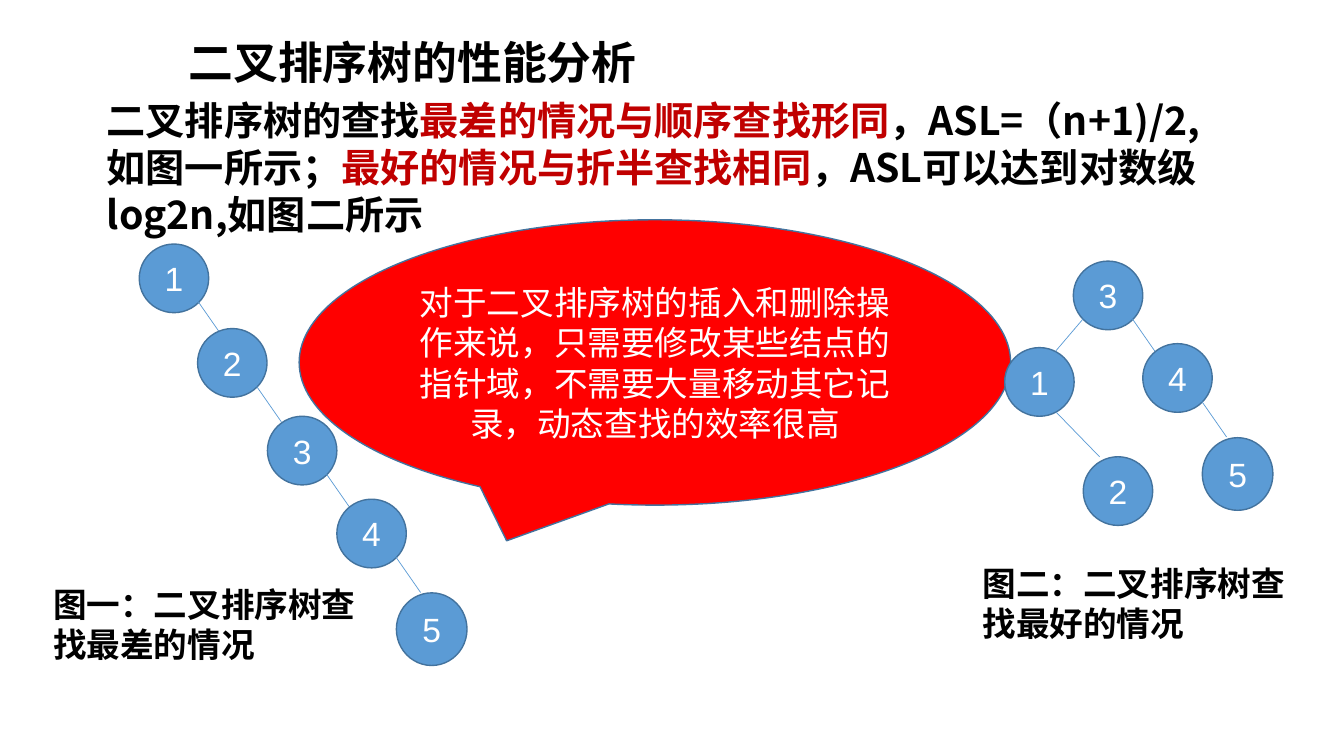
from dataclasses import dataclass

import pptx
import pptx.dml.color
import pptx.enum.shapes
import pptx.enum.text
import pptx.oxml
import pptx.oxml.ns
import pptx.util

Cm = pptx.util.Cm
Pt = pptx.util.Pt
RGB = pptx.dml.color.RGBColor.from_string
PRESET = pptx.enum.shapes.MSO_SHAPE
ALIGN = pptx.enum.text.PP_ALIGN
ANCHOR = pptx.enum.text.MSO_ANCHOR
FIT = pptx.enum.text.MSO_AUTO_SIZE


@dataclass(frozen=True)
class Theme:
    ink: str = "000000"
    emphasis: str = "C00000"
    light: str = "FFFFFF"
    callout: str = "FF0000"
    node: str = "5B9BD5"
    outline: str = "43739E"
    heading_font: str = "Noto Sans CJK SC"
    shape_font: str = "Arial"
    title_size: int = 32
    body_size: int = 28
    label_size: int = 24
    outline_width: float = 1
    link_width: float = 0.5


THEME = Theme()
NODE_SIZE = (1.75, 1.73)
LAST_NODE_SIZE = (1.78, 1.83)

LINKS = {
    "right": (1.49, 1.46, 0.62, 0.89),
    "left": (0.25, 1.45, -0.69, 0.81),
    "inner": (1.3, 1.63, 1.09, 1.12),
}

WORST_TREE = [
    ("1", 0, 0, None, None),
    ("2", 1.47, 2.13, "1", "right"),
    ("3", 3.23, 4.34, "2", "right"),
    ("4", 4.98, 6.43, "3", "right"),
    ("5", 6.48, 8.79, "4", "right"),
]
BEST_TREE = [
    ("3", 1.73, 0, None, None),
    ("4", 3.48, 2.08, "3", "right"),
    ("5", 4.98, 4.45, "4", "right"),
    ("1", 0, 2.18, "3", "left"),
    ("2", 1.98, 4.93, "1", "inner"),
]


def apply_format(target, values):
    for attribute, value in values.items():
        setattr(target, attribute, value)


def write_runs(paragraph, runs, font_name, size, bold):
    for wording, colour in runs:
        run = paragraph.add_run()
        run.text = wording
        apply_format(run.font, {"name": font_name, "size": Pt(size), "bold": bold})
        run.font.color.rgb = RGB(colour)
        east_asian = pptx.oxml.ns.qn("a:ea")
        run.font._element.find(pptx.oxml.ns.qn("a:latin")).addnext(
            run.font._element.makeelement(east_asian, {"typeface": font_name}))


def draw_heading(slide, box, runs, size):
    heading = slide.shapes.add_textbox(*map(Cm, box))
    apply_format(heading.text_frame, {
        "word_wrap": True, "auto_size": FIT.SHAPE_TO_FIT_TEXT})
    write_runs(heading.text_frame.paragraphs[0], runs,
               THEME.heading_font, size, True)


def draw_bubble(slide, preset, box, fill, wording):
    bubble = slide.shapes.add_shape(preset, *map(Cm, box))
    bubble.shadow.inherit = False
    bubble.fill.solid()
    bubble.fill.fore_color.rgb = RGB(fill)
    bubble.line.color.rgb = RGB(THEME.outline)
    bubble.line.width = Pt(THEME.outline_width)
    apply_format(bubble.text_frame, {
        "word_wrap": True, "vertical_anchor": ANCHOR.MIDDLE})
    paragraph = bubble.text_frame.paragraphs[0]
    paragraph.alignment = ALIGN.CENTER
    write_runs(paragraph, [(wording, THEME.light)],
               THEME.shape_font, THEME.label_size, False)


def draw_link(slide, parent_corner, direction):
    start_x, start_y, run_x, run_y = LINKS[direction]
    x, y = parent_corner[0] + start_x, parent_corner[1] + start_y
    link = slide.shapes.add_connector(
        pptx.enum.shapes.MSO_CONNECTOR.STRAIGHT,
        *map(Cm, (x, y, x + run_x, y + run_y)))
    link.line.color.rgb = RGB(THEME.node)
    link.line.width = Pt(THEME.link_width)
    properties = link._element.spPr
    properties.append(properties.makeelement(
        pptx.oxml.ns.qn("a:effectLst"), {}))


def draw_tree(slide, left, top, nodes):
    corners = {key: (left + x, top + y) for key, x, y, _, _ in nodes}
    for key, _, _, parent, direction in nodes:
        if parent:
            draw_link(slide, corners[parent], direction)
        size = LAST_NODE_SIZE if key == "5" else NODE_SIZE
        draw_bubble(slide, PRESET.OVAL, corners[key] + size, THEME.node, key)


def draw_caption(slide, left, top, wording):
    draw_heading(slide, (left, top, 8.71, 2.31),
                 [(wording, THEME.ink)], THEME.label_size)


def build_analysis_slide(slide):
    draw_bubble(
        slide, PRESET.OVAL_CALLOUT, (7.54, 5.54, 17.93, 7.19), THEME.callout,
        "对于二叉排序树的插入和删除操作来说，只需要修改某些结点的指针域，"
        "不需要大量移动其它记录，动态查找的效率很高")
    draw_heading(slide, (4.5, 0.74, 13.46, 1.63),
                 [("二叉排序树的性能分析", THEME.ink)], THEME.title_size)
    draw_heading(slide, (2.44, 2.31, 28.12, 3.84), [
        ("二叉排序树的查找", THEME.ink),
        ("最差的情况与顺序查找形同", THEME.emphasis),
        ("，ASL=（n+1)/2,如图一所示；", THEME.ink),
        ("最好的情况与折半查找相同", THEME.emphasis),
        ("，ASL可以达到对数级log2n,如图二所示", THEME.ink),
    ], THEME.body_size)
    draw_tree(slide, 3.51, 6.15, WORST_TREE)
    draw_tree(slide, 25.32, 6.58, BEST_TREE)
    draw_caption(slide, 1.09, 14.58, "图一：二叉排序树查找最差的情况")
    draw_caption(slide, 24.51, 14.05, "图二：二叉排序树查找最好的情况")


def main():
    presentation = pptx.Presentation()
    apply_format(presentation, {
        "slide_width": Cm(33.87), "slide_height": Cm(19.05)})
    build_analysis_slide(
        presentation.slides.add_slide(presentation.slide_layouts[6]))
    presentation.save("out.pptx")


if __name__ == "__main__":
    main()
